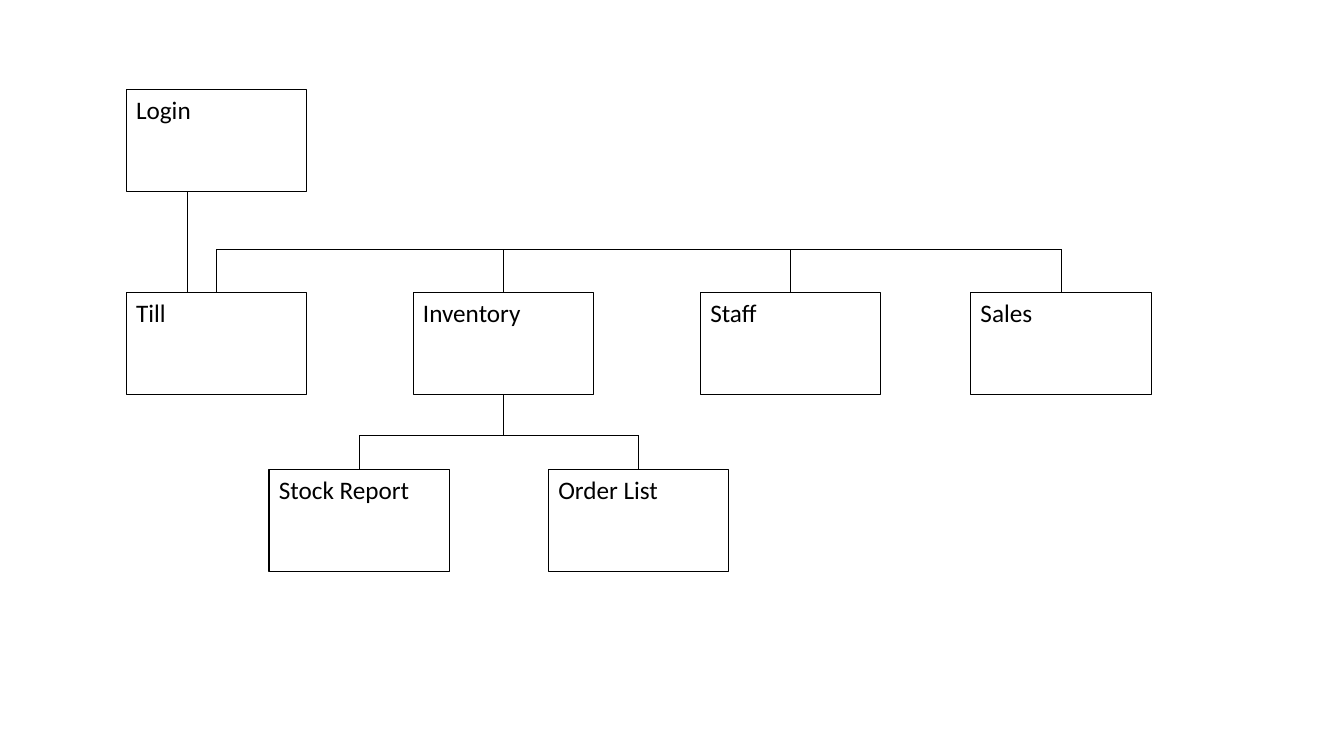
from lxml.etree import SubElement
from pptx import Presentation
from pptx.dml.color import RGBColor
from pptx.enum.shapes import MSO_CONNECTOR, MSO_SHAPE
from pptx.enum.text import MSO_ANCHOR, PP_ALIGN
from pptx.oxml.ns import qn
from pptx.util import Cm, Pt

BLACK = "000000"
BOX_W, BOX_H = 4.55, 2.57
LOGIN_TOP, MENU_TOP, REPORT_TOP = 2.26, 7.37, 11.84
MENU_BUS, REPORT_BUS = 6.28, 10.97
LOGIN_LEFT, LOGIN_LINK_X = 3.18, 4.72
MENU = {"Till": 3.18, "Inventory": 10.41, "Staff": 17.65, "Sales": 24.46}
REPORTS = {"Stock Report": 6.78, "Order List": 13.82}


def rgb(value):
    """Return the colour for a hex string."""
    return RGBColor.from_string(value)


def center(left):
    """Return the middle of a box that starts at left."""
    return left + BOX_W / 2


def add_text(tf, text, size=18, font="Calibri", color=BLACK):
    """Write left-aligned text at the top of a text frame."""
    tf.word_wrap = True
    tf.vertical_anchor = MSO_ANCHOR.TOP
    p = tf.paragraphs[0]
    p.alignment = PP_ALIGN.LEFT
    r = p.add_run()
    r.text = text
    r.font.size = Pt(size)
    r.font.name = font
    r.font.color.rgb = rgb(color)


def add_box(slide, text, left, top):
    """Add an outlined box with its label."""
    sp = slide.shapes.add_shape(
        MSO_SHAPE.RECTANGLE, Cm(left), Cm(top), Cm(BOX_W), Cm(BOX_H))
    sp.shadow.inherit = False
    sp.fill.background()
    sp.line.color.rgb = rgb(BLACK)
    sp.line.width = Pt(0.75)
    add_text(sp.text_frame, text)


def add_line(slide, x1, y1, x2, y2):
    """Add a thin straight connector."""
    line = slide.shapes.add_connector(
        MSO_CONNECTOR.STRAIGHT, Cm(x1), Cm(y1), Cm(x2), Cm(y2))
    line.line.color.rgb = rgb(BLACK)
    line.line.width = Pt(0.5)
    SubElement(line._element.spPr, qn("a:effectLst"))


def add_level(slide, boxes, top, bus):
    """Add a row of boxes hanging from a horizontal line."""
    centers = [center(left) for left in boxes.values()]
    add_line(slide, centers[0], bus, centers[-1], bus)
    for text, left in boxes.items():
        add_box(slide, text, left, top)
        add_line(slide, center(left), bus, center(left), top)


def main():
    """Build the screen hierarchy slide."""
    prs = Presentation()
    prs.slide_width, prs.slide_height = Cm(33.87), Cm(19.05)
    slide = prs.slides.add_slide(prs.slide_layouts[6])

    add_box(slide, "Login", LOGIN_LEFT, LOGIN_TOP)
    add_line(slide, LOGIN_LINK_X, LOGIN_TOP + BOX_H, LOGIN_LINK_X, MENU_TOP)
    add_level(slide, MENU, MENU_TOP, MENU_BUS)

    inventory_x = center(MENU["Inventory"])
    add_line(slide, inventory_x, MENU_TOP + BOX_H, inventory_x, REPORT_BUS)
    add_level(slide, REPORTS, REPORT_TOP, REPORT_BUS)

    prs.save("out.pptx")


if __name__ == "__main__":
    main()
